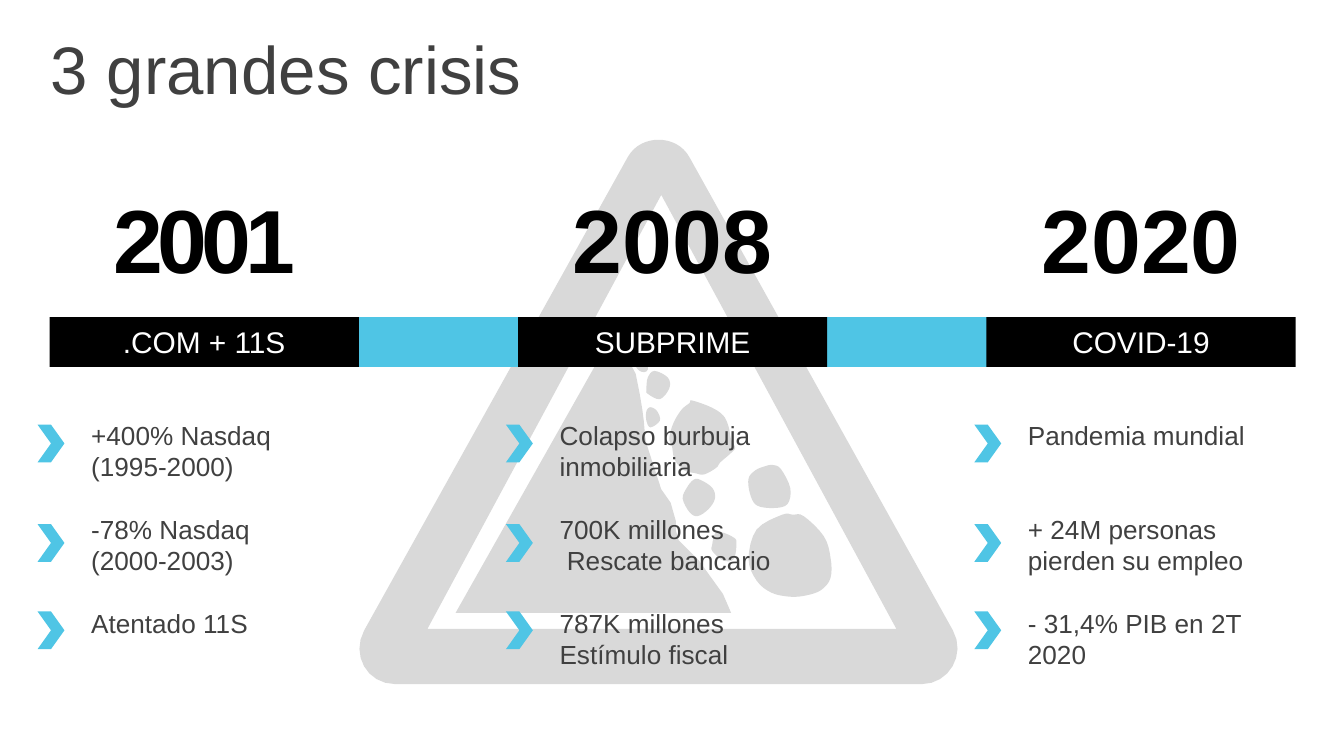
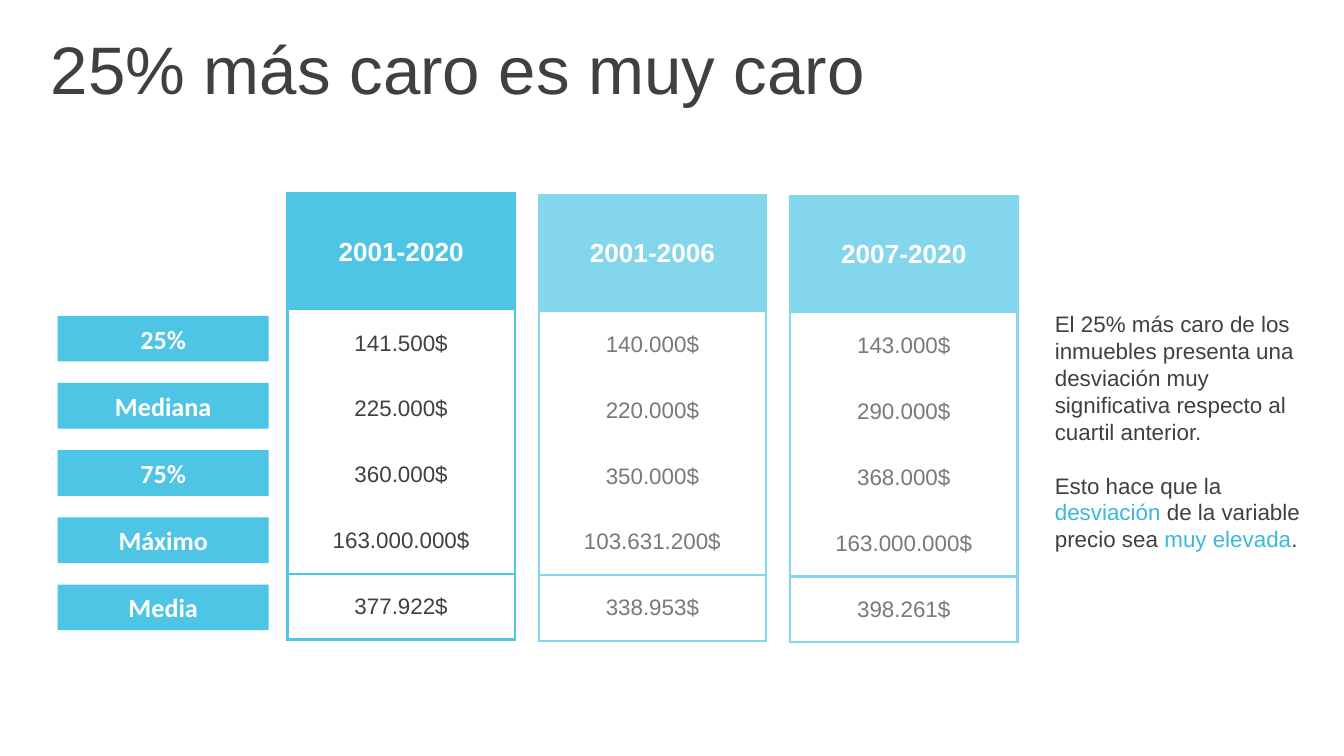
from lxml import etree
from pptx import Presentation
from pptx import util as u
from pptx.dml.color import RGBColor
from pptx.enum import shapes, text
from pptx.oxml import ns

CYAN = RGBColor(0x4F, 0xC5, 0xE5)
TEAL = RGBColor(0x3A, 0xB8, 0xD9)
DARK = RGBColor(0x40, 0x40, 0x40)
GRAY = RGBColor(0xD9, 0xD9, 0xD9)
BLACK = RGBColor(0, 0, 0)
WHITE = RGBColor(0xFF, 0xFF, 0xFF)

BOX = shapes.MSO_SHAPE.RECTANGLE
ARROW = shapes.MSO_SHAPE.CHEVRON
MID = text.MSO_ANCHOR.MIDDLE
TOP = text.MSO_ANCHOR.TOP
CENTER = {"alignment": text.PP_ALIGN.CENTER}
PLAIN_STYLE = "{2D5ABB26-0587-4C30-8999-92F81FD0307C}"

STEP = 6.97 / 2
CRISES = [
    ("2001", ".COM + 11S", [
        ("+400% Nasdaq", 0), ("(1995-2000)", 0), ("-78% Nasdaq", 16.8),
        ("(2000-2003)", 0), ("Atentado 11S", 16.8)]),
    ("2008", "SUBPRIME", [
        ("Colapso burbuja inmobiliaria", 0), ("700K millones", 16.8),
        (" Rescate bancario", 0), ("787K millones", 16.8), ("Estímulo fiscal", 0)]),
    ("2020", "COVID-19", [
        ("Pandemia mundial", 0), ("+ 24M personas pierden su empleo", 33.6),
        ("- 31,4% PIB en 2T 2020", 16.8)]),
]
LABELS = ["25%", "Mediana", "75%", "Máximo", "Media"]
PRICES = [
    ["2001-2020", "141.500$", "225.000$", "360.000$", "163.000.000$", "377.922$"],
    ["2001-2006", "140.000$", "220.000$", "350.000$", "103.631.200$", "338.953$"],
    ["2007-2020", "143.000$", "290.000$", "368.000$", "163.000.000$", "398.261$"],
]
NOTE = [
    ("El 25% más caro de los inmuebles presenta una desviación muy "
     "significativa respecto al cuartil anterior.", 0),
    ([("Esto hace que la ", DARK), ("desviación", TEAL),
      (" de la variable precio sea ", DARK), ("muy elevada", TEAL), (".", DARK)], 14.4),
]

HOLE = [(4.92, 1.45), (3.18, 4.68), (6.67, 4.68)]
CORNERS = [
    [(4.67, 1.17), (4.72, 1.08), (4.81, 1.04), (4.9, 1.04)],
    [(4.9, 1.04), (4.99, 1.04), (5.08, 1.08), (5.13, 1.17)],
    [(7.09, 4.69), (7.19, 4.87), (7.06, 5.09), (6.86, 5.09)],
    [(2.94, 5.09), (2.73, 5.09), (2.61, 4.87), (2.71, 4.69)],
]
CLIFF = [
    (3.39, 4.56), (4.57, 2.47), (4.59, 2.53), (4.62, 2.6), (4.67, 2.67), (4.73, 2.78),
    (4.76, 2.93), (4.78, 3.05), (4.79, 3.13), (4.8, 3.24), (4.81, 3.3), (4.92, 3.64),
    (4.99, 3.74), (5.03, 3.88), (5.03, 3.95), (5.05, 4.02), (5.2, 4.17), (5.38, 4.42),
    (5.44, 4.56),
]
ROCKS = [
    [(5.37, 3.96), (5.46, 4), (5.48, 4.04), (5.46, 4.16), (5.38, 4.17), (5.3, 4.1),
     (5.3, 4.05), (5.32, 3.97)],
    [(5.9, 3.83), (5.98, 3.84), (6.13, 3.99), (6.18, 4.15), (6.18, 4.3), (6.11, 4.39),
     (6, 4.43), (5.88, 4.44), (5.74, 4.41), (5.63, 4.32), (5.57, 4.16), (5.63, 3.94),
     (5.82, 3.83)],
    [(5.21, 3.57), (5.3, 3.63), (5.32, 3.71), (5.27, 3.79), (5.19, 3.84), (5.13, 3.81),
     (5.08, 3.71), (5.11, 3.63), (5.16, 3.57)],
    [(5.75, 3.46), (5.81, 3.49), (5.88, 3.63), (5.86, 3.75), (5.76, 3.78), (5.63, 3.76),
     (5.58, 3.67), (5.57, 3.56), (5.62, 3.5), (5.69, 3.47)],
    [(4.84, 3.03), (4.89, 3.06), (4.91, 3.13), (4.84, 3.18), (4.81, 3.13), (4.81, 3.06)],
    [(5.15, 2.98), (5.29, 3.03), (5.38, 3.09), (5.42, 3.17), (5.44, 3.27), (5.47, 3.33),
     (5.44, 3.37), (5.36, 3.44), (5.33, 3.48), (5.24, 3.53), (5.17, 3.52), (5.09, 3.5),
     (5.02, 3.42), (5, 3.32), (4.98, 3.26), (5.01, 3.15), (5.07, 3.05), (5.13, 3)],
    [(4.87, 2.76), (4.97, 2.81), (4.98, 2.89), (4.91, 2.97), (4.82, 2.93), (4.81, 2.9),
     (4.82, 2.81)],
    [(4.8, 2.62), (4.82, 2.75), (4.76, 2.76), (4.7, 2.67), (4.74, 2.63)],
]


def apply(thing, values):
    """Set each attribute of a thing from a dict."""
    for name, value in values.items():
        setattr(thing, name, value)


def write(frame, lines, size, color, bold=False, face="Arial", para=None):
    """Fill a text frame with (text or runs, gap before) lines."""
    for i, (line, gap) in enumerate(lines):
        item = frame.add_paragraph() if i else frame.paragraphs[0]
        apply(item, {"space_before": u.Pt(gap), **(para or {})})
        for words, tint in [(line, color)] if isinstance(line, str) else line:
            run = item.add_run()
            run.text = words
            apply(run.font, {"size": u.Pt(size), "bold": bold, "name": face})
            run.font.color.rgb = tint


def add_text(slide, at, lines, size, color, anchor=TOP, inset=0.1, **form):
    """Add a wrapping text box and return it."""
    box = slide.shapes.add_textbox(*map(u.Inches, at))
    side = u.Inches(inset)
    apply(box.text_frame, {"word_wrap": True, "vertical_anchor": anchor,
                           "margin_left": side, "margin_right": side})
    write(box.text_frame, lines, size, color, **form)
    return box


def paint(shape, color):
    """Give a shape a flat fill with no line or shadow."""
    shape.shadow.inherit = False
    shape.fill.solid()
    shape.fill.fore_color.rgb = color
    shape.line.fill.background()


def add_block(slide, at, color, kind=BOX, label=None, size=16, **form):
    """Add a flat preset shape with an optional centred label."""
    shape = slide.shapes.add_shape(kind, *map(u.Inches, at))
    paint(shape, color)
    if label:
        shape.text_frame.vertical_anchor = MID
        write(shape.text_frame, [(label, 0)], size, WHITE, para=CENTER, **form)
    return shape


def curve(a, b, c, d, count=8):
    """Return points along a cubic curve."""
    spots = []
    for i in range(count + 1):
        t = i / count
        s = 1 - t
        spots.append(tuple(s ** 3 * p + 3 * s * s * t * q + 3 * s * t * t * r + t ** 3 * v
                           for p, q, r, v in zip(a, b, c, d)))
    return spots


def smooth(dots):
    """Return a rounded closed outline through the dots."""
    spots = []
    for i, b in enumerate(dots):
        a, c, d = dots[i - 1], dots[(i + 1) % len(dots)], dots[(i + 2) % len(dots)]
        lead = tuple(q + (r - p) / 6 for p, q, r in zip(a, b, c))
        tail = tuple(r - (v - q) / 6 for q, r, v in zip(b, c, d))
        spots += curve(b, lead, tail, c, 4)[:-1]
    return spots


def add_form(group, rings):
    """Add one gray freeform made of closed rings."""
    rings = [[tuple(map(u.Inches, dot)) for dot in ring] for ring in rings]
    pen = group.shapes.build_freeform(*rings[0][0])
    for i, ring in enumerate(rings):
        if i:
            pen.move_to(*ring[0])
        pen.add_line_segments(ring[1:], close=True)
    paint(pen.convert_to_shape(), GRAY)


def add_sign(slide):
    """Draw the falling rocks warning sign."""
    group = slide.shapes.add_group_shape()
    rim = [dot for corner in CORNERS for dot in curve(*corner)]
    add_form(group, [HOLE, rim])
    add_form(group, [CLIFF] + [smooth(rock) for rock in ROCKS])


def add_edge(cell, sides):
    """Draw cyan borders on the given sides of a cell."""
    props = cell._tc.get_or_add_tcPr()
    for i, side in enumerate(sides):
        line = etree.Element(ns.qn(f"a:ln{side}"), w=str(u.Pt(1.5)))
        fill = etree.SubElement(line, ns.qn("a:solidFill"))
        etree.SubElement(fill, ns.qn("a:srgbClr"), val=str(CYAN))
        props.insert(i, line)


def add_prices(slide, left, top, values):
    """Add a one-column price table."""
    size = map(u.Inches, (left, top, 1.69, 3.32))
    table = slide.shapes.add_table(len(values), 1, *size).table
    apply(table, {"first_row": False, "horz_banding": False})
    table._tbl.tblPr.find(ns.qn("a:tableStyleId")).text = PLAIN_STYLE
    sides = ["LRT", "LR", "LR", "LR", "LRB", "LRTB"]
    for i, value in enumerate(values):
        head = i == 0
        table.rows[i].height = u.Inches(0.87 if head else 0.49)
        cell = table.cell(i, 0)
        cell.vertical_anchor = MID
        if head:
            cell.fill.solid()
            cell.fill.fore_color.rgb = CYAN
        else:
            cell.fill.background()
        add_edge(cell, sides[i])
        write(cell.text_frame, [(value, 0)], 14 if head else 12,
              WHITE if head else DARK, bold=head, para=CENTER)


def add_title(slide, title):
    """Add the slide title."""
    add_text(slide, (0.28, 0.19, 9.72, 0.63), [(title, 8)], 36, DARK, MID)


def add_crises(slide):
    """Build the three crises timeline."""
    add_sign(slide)
    add_title(slide, "3 grandes crisis")
    for i in range(2):
        add_block(slide, (2.12 + STEP * i, 2.36, 2.3, 0.37), CYAN)
    for i, (year, name, facts) in enumerate(CRISES):
        left = STEP * i
        box = add_text(slide, (left + 0.01, 0.98, 3.02, 1.58), [(year, 0)], 48, BLACK,
                       MID, 0.12, bold=True, para=CENTER)
        if i == 0:
            run = box.text_frame.paragraphs[0].runs[0]
            run.font._element.set("spc", "-300")
        add_block(slide, (left + 0.37, 2.36, 2.3, 0.37), BLACK, label=name)
        add_text(slide, (left + 0.58, 3.07, 2.76 - 0.25 * i, 2.36), facts, 14, DARK)
        for top in (3.16, 3.9, 4.55):
            add_block(slide, (left + 0.28, top, 0.2, 0.28), CYAN, ARROW)


def add_market(slide):
    """Build the price comparison."""
    add_title(slide, "25% más caro es muy caro")
    for i, values in enumerate(PRICES):
        add_prices(slide, 2.14 + 1.87 * i, 1.44 + 0.01 * i, values)
    for i, label in enumerate(LABELS):
        add_block(slide, (0.43, 2.35 + 0.5 * i, 1.57, 0.34), CYAN, label=label,
                  size=14, bold=True, face="Calibri")
    veil = add_block(slide, (3.9, 1.24, 3.78, 3.7), WHITE)
    tint = veil._element.spPr.find(".//" + ns.qn("a:srgbClr"))
    etree.SubElement(tint, ns.qn("a:alpha"), val="30000")
    note = add_text(slide, (7.75, 2.35, 2.05, 1.92), NOTE, 12, DARK, MID)
    note.text_frame.margin_bottom = u.Inches(0.25)


def main():
    """Build and save the deck."""
    deck = Presentation()
    apply(deck, {"slide_width": u.Inches(10), "slide_height": u.Inches(10 * 9 / 16)})
    for build in (add_crises, add_market):
        build(deck.slides.add_slide(deck.slide_layouts[6]))
    deck.save("out.pptx")


if __name__ == "__main__":
    main()
